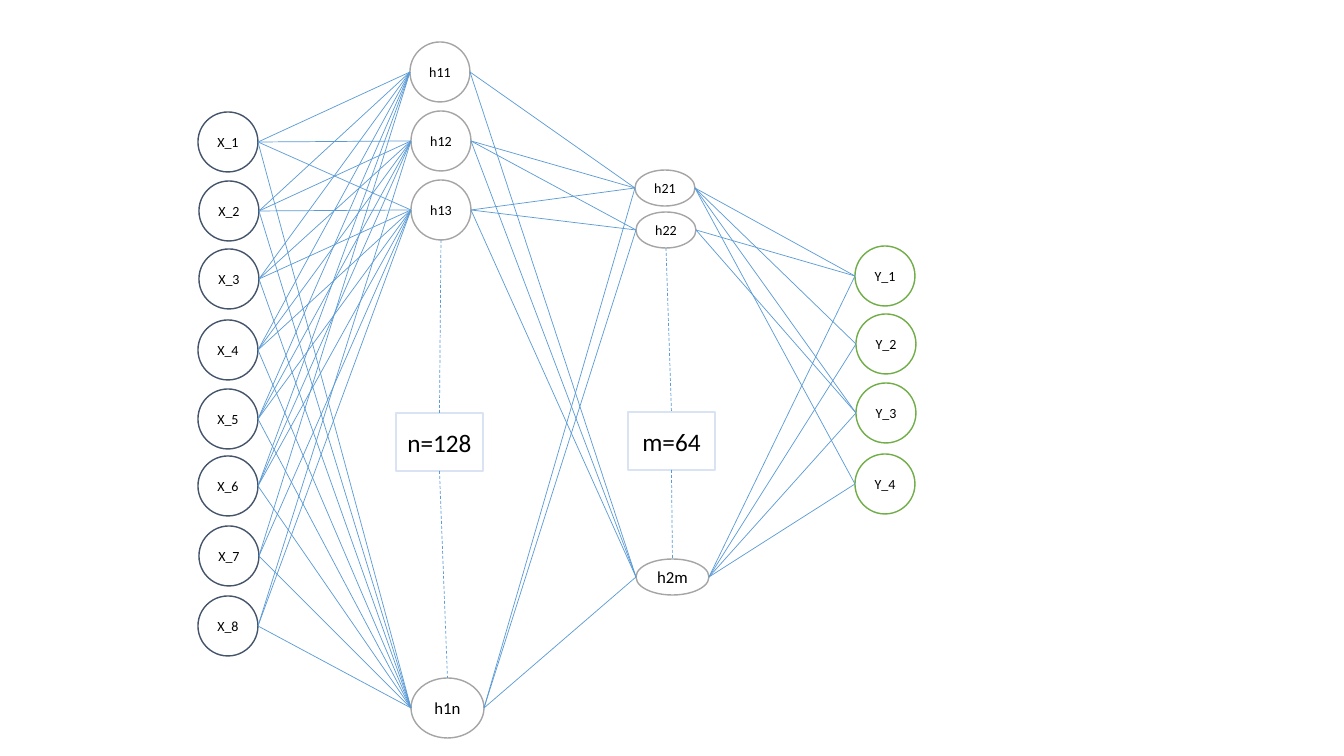
from lxml.etree import SubElement
from pptx import Presentation
from pptx.dml.color import RGBColor
from pptx.enum.dml import MSO_LINE
from pptx.enum.shapes import MSO_CONNECTOR, MSO_SHAPE
from pptx.enum.text import MSO_ANCHOR, PP_ALIGN
from pptx.oxml.ns import qn
from pptx.util import Pt

WHITE = RGBColor(0xFF, 0xFF, 0xFF)
BLACK = RGBColor(0x00, 0x00, 0x00)
NAVY = RGBColor(0x44, 0x54, 0x6A)
GRAY = RGBColor(0xA5, 0xA5, 0xA5)
GREEN = RGBColor(0x70, 0xAD, 0x47)
BLUE = RGBColor(0x5B, 0x9B, 0xD5)
PALE = RGBColor(0xDA, 0xE3, 0xF3)

PX = 914400 / 100.8
NODE = 60, 60
FLAT = 60, 36

LAYERS = [
    (NAVY, [
        ("X_1", 198, 112, NODE, 10), ("X_2", 199, 181, NODE, 10),
        ("X_3", 199, 249, NODE, 10), ("X_4", 198, 320, NODE, 10),
        ("X_5", 198, 389, NODE, 10), ("X_6", 198, 456, NODE, 10),
        ("X_7", 199, 526, NODE, 10), ("X_8", 198, 596, NODE, 10),
    ]),
    (GRAY, [
        ("h11", 410, 42, NODE, 10), ("h12", 411, 111, NODE, 10),
        ("h13", 411, 180, NODE, 10), ("h1n", 411, 678, (73, 60), 12),
    ]),
    (GRAY, [
        ("h21", 635, 170, FLAT, 10), ("h22", 636, 212, FLAT, 10),
        ("h2m", 636, 559, (73, 36), 12),
    ]),
    (GREEN, [
        ("Y_1", 855, 246, NODE, 10), ("Y_2", 856, 314, NODE, 10),
        ("Y_3", 856, 383, NODE, 10), ("Y_4", 855, 454, NODE, 10),
    ]),
]
UNLINKED = {("X_7", "h12"), ("X_8", "h11"), ("h11", "h22"), ("h22", "Y_2"), ("h22", "Y_4")}
COUNTS = [
    ("n=128", 396, 413, "h13", "h1n"),
    ("m=64", 628, 412, "h22", "h2m"),
]


def emu(*lengths):
    return [round(n * PX) for n in lengths]


def add_label(shapes, kind, text, box, color, size):
    sp = shapes.add_shape(kind, *emu(*box))
    sp.shadow.inherit = False
    sp.fill.solid()
    sp.fill.fore_color.rgb = WHITE
    sp.line.color.rgb = color
    sp.line.width = Pt(1)
    tf = sp.text_frame
    frame = dict(margin_left=0, margin_right=0, margin_top=0, margin_bottom=0,
                 word_wrap=False, vertical_anchor=MSO_ANCHOR.MIDDLE)
    for name, value in frame.items():
        setattr(tf, name, value)
    p = tf.paragraphs[0]
    p.alignment = PP_ALIGN.CENTER
    r = p.add_run()
    r.text = text
    for name, value in dict(name="Calibri", size=Pt(size)).items():
        setattr(r.font, name, value)
    r.font.color.rgb = BLACK
    return sp


def add_link(shapes, start, end, dash=None):
    link = shapes.add_connector(MSO_CONNECTOR.STRAIGHT, *emu(*start, *end))
    link.line.color.rgb = BLUE
    link.line.width = Pt(0.5)
    if dash:
        link.line.dash_style = dash
    SubElement(link._element.spPr, qn("a:effectLst"))
    return link


def side(box, fx, fy):
    x, y, w, h = box
    return x + w * fx, y + h * fy


def main():
    prs = Presentation()
    prs.slide_width, prs.slide_height = emu(1344, 756)
    s = prs.slides.add_slide(prs.slide_layouts[6])

    boxes = {}
    for color, nodes in LAYERS:
        group = s.shapes.add_group_shape()
        for text, x, y, extent, size in nodes:
            boxes[text] = (x, y, *extent)
            add_label(group.shapes, MSO_SHAPE.OVAL, text, boxes[text], color, size)

    for (_, sources), (_, targets) in zip(LAYERS, LAYERS[1:]):
        for source, *_ in sources:
            for target, *_ in targets:
                if (source, target) not in UNLINKED:
                    add_link(s.shapes, side(boxes[source], 1, 0.5), side(boxes[target], 0, 0.5))

    for text, x, y, above, below in COUNTS:
        box = x, y, 87, 58
        sp = add_label(s.shapes, MSO_SHAPE.RECTANGLE, text, box, PALE, 18)
        upper = add_link(s.shapes, side(boxes[above], 0.5, 1), side(box, 0.5, 0), MSO_LINE.DASH)
        upper.end_connect(sp, 0)
        lower = add_link(s.shapes, side(box, 0.5, 1), side(boxes[below], 0.5, 0), MSO_LINE.DASH)
        lower.begin_connect(sp, 2)

    prs.save("out.pptx")


if __name__ == "__main__":
    main()
